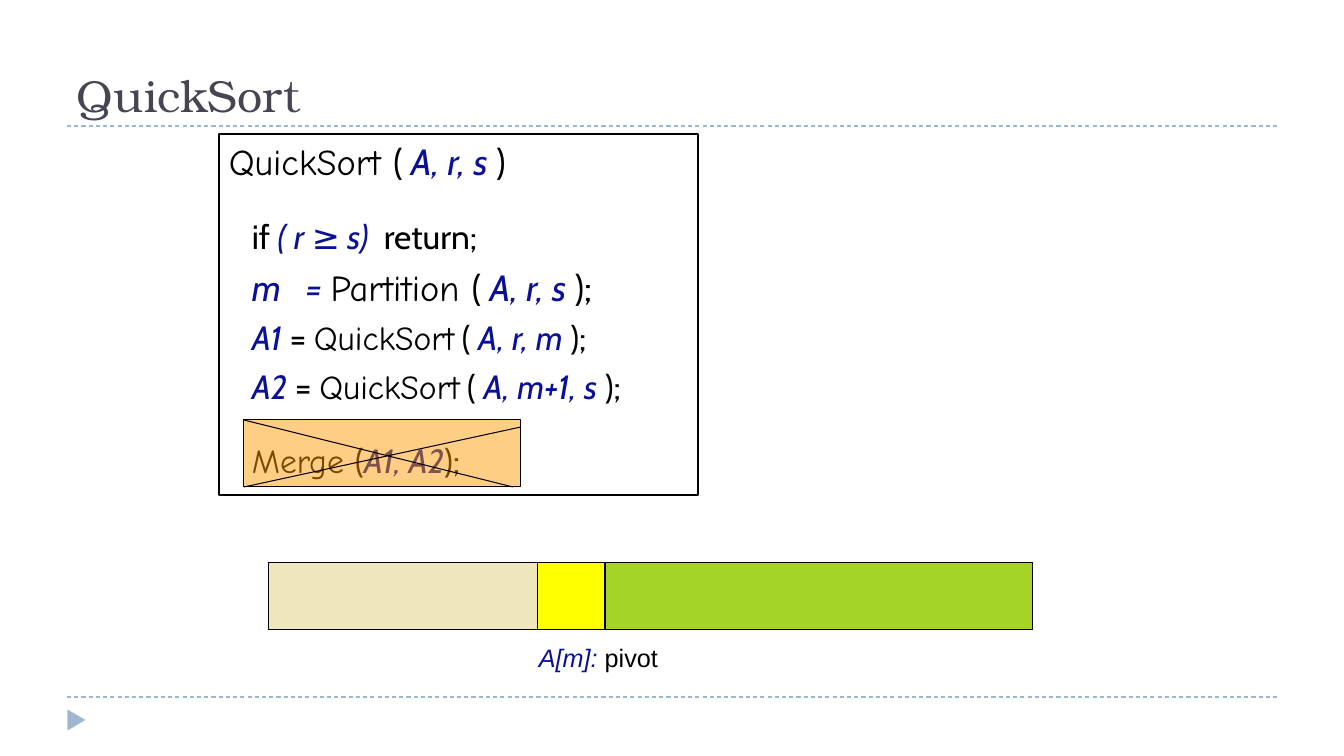
import pptx
import pptx.util
import pptx.dml.color
import pptx.enum.dml
import pptx.enum.shapes
import pptx.enum.text
import pptx.oxml.ns
from lxml import etree

RGB = pptx.dml.color.RGBColor
BLACK = RGB(0x00, 0x00, 0x00)
NAVY = RGB(0x0B, 0x11, 0x96)
SLATE = RGB(0x46, 0x46, 0x53)
STEEL = RGB(0x9F, 0xB8, 0xCD)
MINT = RGB(0xCC, 0xFF, 0xCC)
PEACH = RGB(0xFF, 0xCC, 0x99)
YELLOW = RGB(0xFF, 0xFF, 0x00)
LIME = RGB(0x99, 0xCC, 0x00)
ORANGE = RGB(0xFF, 0x99, 0x00)
PX = 914400 / 100.8
SHAPE = pptx.enum.shapes.MSO_SHAPE
DASH = pptx.enum.dml.MSO_LINE.DASH
Pt = pptx.util.Pt
qn = pptx.oxml.ns.qn

deck = pptx.Presentation()
deck.slide_width = round(1344 * PX)
deck.slide_height = round(756 * PX)
slide = deck.slides.add_slide(deck.slide_layouts[6])
shapes = slide.shapes


def write(para, text, size=24, font="Cabin", color=BLACK, italic=False, gap=0):
    run = para.add_run()
    run.text = text
    run.font.size = Pt(size)
    run.font.name = font
    run.font.color.rgb = color
    run.font.italic = italic
    if gap:
        run.font._element.set("spc", str(gap))


def box(area, fill=None, alpha=100, line=0.75, kind=SHAPE.RECTANGLE):
    shape = shapes.add_shape(kind, *[round(n * PX) for n in area])
    shape.shadow.inherit = False
    if fill is None:
        shape.fill.background()
    else:
        shape.fill.solid()
        shape.fill.fore_color.rgb = fill
        if alpha < 100:
            tone = shape.fill._xPr.find(qn("a:solidFill"))[0]
            etree.SubElement(tone, qn("a:alpha")).set("val", str(alpha * 1000))
    if line:
        shape.line.color.rgb = BLACK
        shape.line.width = Pt(line)
    else:
        shape.line.fill.background()
    return shape


# Footer mark
mark = box((66, 711, 21, 18), STEEL, line=0, kind=SHAPE.ISOSCELES_TRIANGLE)
mark.rotation = 90

# Title and pivot label
VAR = dict(color=NAVY, italic=True)
labels = [
    ((67, 17, 1210, 109), [("QuickSort", dict(size=32, font="TeX Gyre Bonum", color=SLATE))]),
    ((529, 638, 285, 40), [("A[m]: ", dict(VAR, size=18, font="Arial")),
                           ("pivot", dict(size=18, font="Arial"))]),
]
for area, runs in labels:
    label = shapes.add_textbox(*[round(n * PX) for n in area])
    frame = label.text_frame
    frame.word_wrap = True
    frame.vertical_anchor = pptx.enum.text.MSO_ANCHOR.BOTTOM
    for text, style in runs:
        write(frame.paragraphs[0], text, **style)

# Code: size, space before, indent, runs
CALL = dict(font="Comic Neue")
CODE = {}
rows = [
    (26, 6, 0, [("QuickSort ", CALL), ("( ", CODE), ("A, r, s ", VAR), (")", CODE)]),
    (24, 24, 23, [("if ", CODE), ("( r ≥ s)", VAR), (" ", dict(gap=550)), ("return;", CODE)]),
    (26, 6, 23, [("m", VAR), (" ", dict(gap=1150)), ("= ", VAR), ("Partition ", CALL),
                 ("( ", CODE), ("A, r, s ", VAR), (");", CODE)]),
    (24, 6, 23, [("A1", VAR), (" = ", CODE), ("QuickSort", CALL), (" ( ", CODE),
                 ("A, r, m ", VAR), (");", CODE)]),
    (24, 6, 23, [("A2", VAR), (" = ", CODE), ("QuickSort", CALL), (" ( ", CODE),
                 ("A, m+1, s ", VAR), (");", CODE)]),
    (24, 24, 23, [("Merge ", CALL), ("(", CODE), ("A1, A2", VAR), (");", CODE)]),
]
frame = box((219, 134, 479, 361), line=1.75).text_frame
frame.word_wrap = True
frame.vertical_anchor = pptx.enum.text.MSO_ANCHOR.TOP
for i, (size, space, indent, runs) in enumerate(rows):
    para = frame.add_paragraph() if i else frame.paragraphs[0]
    para.alignment = pptx.enum.text.PP_ALIGN.LEFT
    para.space_before = Pt(space)
    para._p.get_or_add_pPr().set("marL", str(round(indent * PX)))
    for text, style in runs:
        write(para, text, size=size, **style)

# Array parts around the pivot, and the cover over Merge
for left, width, fill, alpha in [(269, 764, MINT, 56), (538, 67, YELLOW, 100),
                                 (269, 269, PEACH, 49), (605, 428, LIME, 83)]:
    box((left, 563, width, 67), fill, alpha)
box((244, 420, 277, 67), ORANGE, 48)

# Dashed rules and the cross over Merge
for ends, color, dash in [((67, 126, 1277, 126), STEEL, DASH),
                          ((67, 697, 1277, 697), STEEL, DASH),
                          ((244, 420, 513, 487), BLACK, None),
                          ((244, 487, 521, 427), BLACK, None)]:
    rule = shapes.add_connector(pptx.enum.shapes.MSO_CONNECTOR.STRAIGHT,
                                *[round(n * PX) for n in ends])
    rule.line.color.rgb = color
    rule.line.width = Pt(0.75)
    rule.line.dash_style = dash
    etree.SubElement(rule._element.spPr, qn("a:effectLst"))

deck.save("out.pptx")
